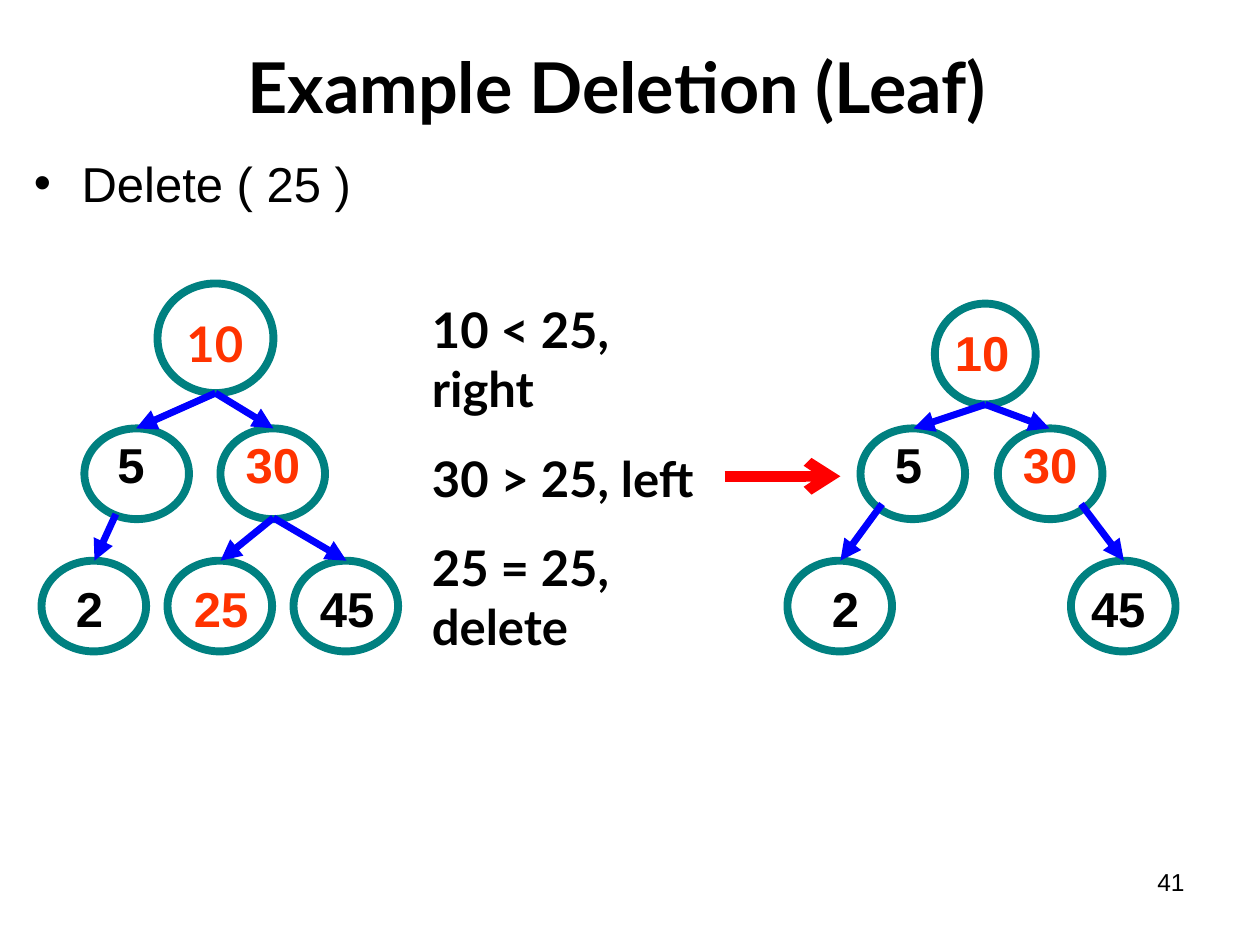
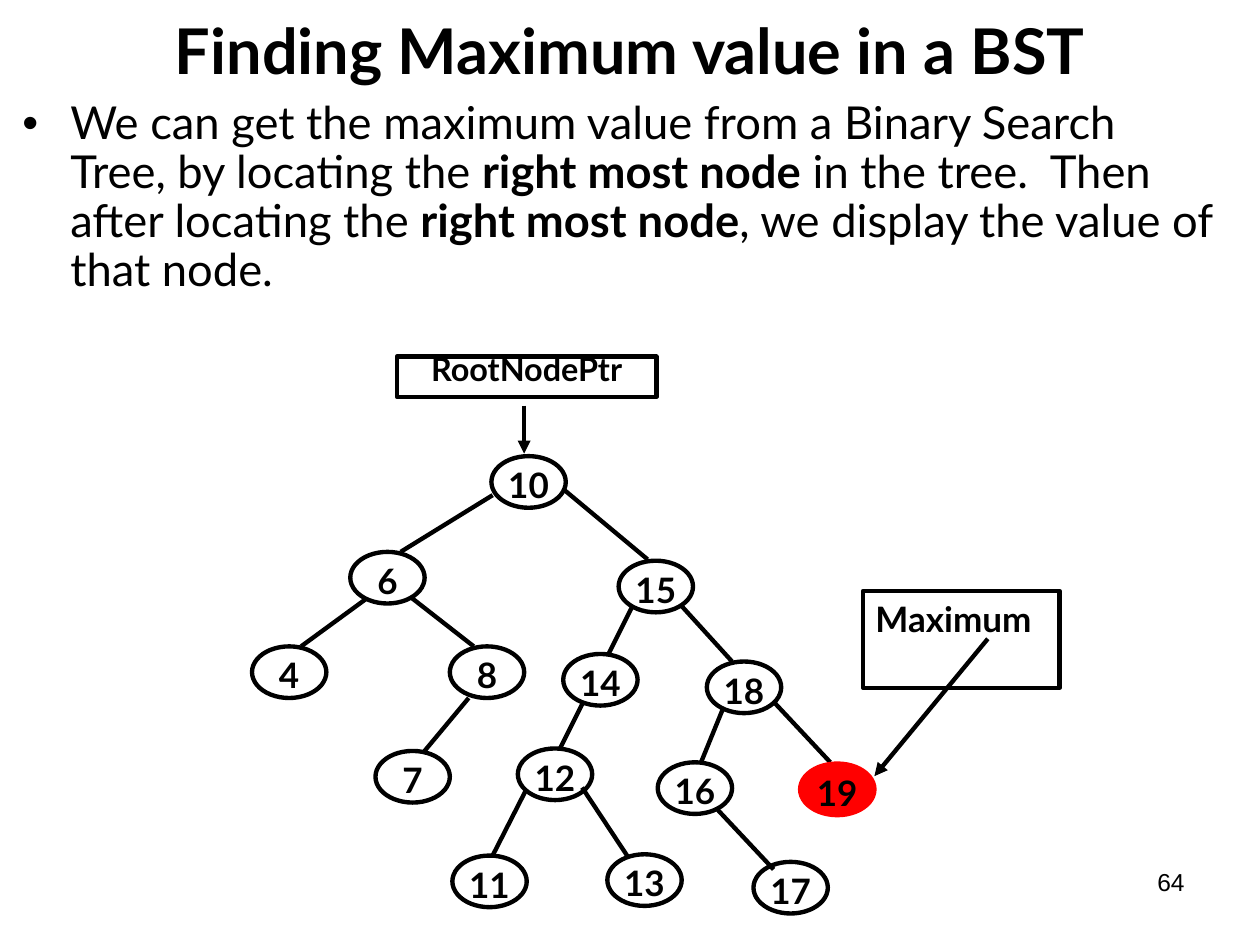
from lxml.etree import SubElement
from pptx import Presentation
from pptx.dml.color import RGBColor
from pptx.enum.shapes import MSO_CONNECTOR, MSO_SHAPE
from pptx.enum.text import MSO_ANCHOR, PP_ALIGN
from pptx.oxml.ns import qn
from pptx.util import Inches, Pt

BLACK = RGBColor(0x00, 0x00, 0x00)
WHITE = RGBColor(0xFF, 0xFF, 0xFF)
RED = RGBColor(0xFF, 0x00, 0x00)
ORANGE = RGBColor(0xFF, 0x33, 0x00)
TEAL = RGBColor(0x00, 0x80, 0x80)
BLUE = RGBColor(0x00, 0x00, 0xFF)

HEADING_FONT = "Lato"
PLAIN_FONT = "Arial"

# Deletion trees: value, circle (left, top, width, height), label (left, top, width), colour, font
TREE_BEFORE = [
    ("10", (1.25, 2.25, 0.92, 0.87), (1.33, 2.44, 0.75), ORANGE, HEADING_FONT),
    ("5", (0.67, 3.4, 0.83, 0.72), (0.83, 3.4, 0.42), BLACK, PLAIN_FONT),
    ("30", (1.75, 3.4, 0.83, 0.72), (1.83, 3.4, 0.67), ORANGE, PLAIN_FONT),
    ("2", (0.33, 4.45, 0.83, 0.72), (0.5, 4.54, 0.42), BLACK, PLAIN_FONT),
    ("25", (1.33, 4.45, 0.83, 0.72), (1.42, 4.54, 0.67), ORANGE, PLAIN_FONT),
    ("45", (2.33, 4.45, 0.83, 0.72), (2.42, 4.54, 0.67), BLACK, PLAIN_FONT),
]
ARROWS_BEFORE = [
    ((1.71, 3.12), (1.08, 3.4)), ((1.71, 3.12), (2.17, 3.4)),
    ((0.92, 4.08), (0.75, 4.45)), ((2.17, 4.11), (1.75, 4.45)),
    ((2.17, 4.11), (2.75, 4.45)),
]
TREE_AFTER = [
    ("10", (7.42, 2.41, 0.8, 0.8), (7.42, 2.51, 0.75), ORANGE, PLAIN_FONT),
    ("5", (6.83, 3.4, 0.83, 0.72), (7, 3.4, 0.42), BLACK, PLAIN_FONT),
    ("30", (7.92, 3.4, 0.83, 0.72), (8, 3.4, 0.67), ORANGE, PLAIN_FONT),
    ("2", (6.25, 4.45, 0.83, 0.72), (6.5, 4.54, 0.42), BLACK, PLAIN_FONT),
    ("45", (8.5, 4.45, 0.83, 0.72), (8.5, 4.54, 0.75), BLACK, PLAIN_FONT),
]
ARROWS_AFTER = [
    ((7.82, 3.21), (7.25, 3.4)), ((7.82, 3.21), (8.33, 3.4)),
    ((7, 4), (6.67, 4.45)), ((8.58, 4), (8.92, 4.45)),
]

# Search tree: left and top of each node, then the branches between them
SEARCH_NODES = {
    "10": (3.9, 3.62), "6": (2.78, 4.38), "15": (4.91, 4.45),
    "4": (2, 5.13), "8": (3.57, 5.13), "14": (4.47, 5.19), "18": (5.61, 5.25),
    "7": (2.98, 5.96), "12": (4.11, 5.94), "16": (5.22, 6.05), "19": (6.35, 6.06),
    "11": (3.59, 6.79), "13": (4.82, 6.78), "17": (5.98, 6.84),
}
SEARCH_BRANCHES = [
    ((3.91, 3.93), (3.18, 4.38)), ((4.48, 3.89), (5.14, 4.44)),
    ((2.91, 4.75), (2.39, 5.13)), ((3.26, 4.74), (3.76, 5.13)),
    ((5.02, 4.81), (4.83, 5.19)), ((5.41, 4.81), (5.81, 5.25)),
    ((3.72, 5.54), (3.37, 5.96)), ((4.63, 5.57), (4.44, 5.95)),
    ((5.74, 5.62), (5.56, 6.06)), ((6.14, 5.57), (6.59, 6.05)),
    ((4.17, 6.28), (3.91, 6.79)), ((4.62, 6.25), (4.99, 6.81)),
    ((5.68, 6.41), (6.14, 6.9)),
]
MAXIMUM = "19"


def add_bullet(paragraph):
    properties = paragraph._p.get_or_add_pPr()
    properties.set("marL", str(Inches(0.38)))
    properties.set("indent", str(-Inches(0.38)))
    SubElement(properties, qn("a:buFont"), typeface="Arial")
    SubElement(properties, qn("a:buChar"), char="•")


def write_text(shape, *paragraphs, size, font=HEADING_FONT, color=BLACK, bold=False,
               align=PP_ALIGN.LEFT, anchor=MSO_ANCHOR.TOP, gap=0, line_spacing=None,
               bullet=False, inset=None):
    """Fill a shape; a paragraph given as a tuple has every second run in bold."""
    frame = shape.text_frame
    frame.word_wrap = True
    frame.vertical_anchor = anchor
    if inset is not None:
        frame.margin_left = frame.margin_right = Inches(inset)
        frame.margin_top = frame.margin_bottom = Inches(inset)
    for index, content in enumerate(paragraphs):
        paragraph = frame.add_paragraph() if index else frame.paragraphs[0]
        paragraph.alignment = align
        if index:
            paragraph.space_before = Pt(gap)
        if line_spacing:
            paragraph.line_spacing = line_spacing
        if bullet:
            add_bullet(paragraph)
        runs = (content,) if isinstance(content, str) else content
        for position, words in enumerate(runs):
            run = paragraph.add_run()
            run.text = words
            run.font.name = font
            run.font.size = Pt(size)
            run.font.bold = bold or position % 2 == 1
            run.font.color.rgb = color


def add_text(slide, box, *paragraphs, **text_format):
    shape = slide.shapes.add_textbox(*map(Inches, box))
    write_text(shape, *paragraphs, **text_format)


def add_outline(slide, kind, box, color, width, fill=None):
    shape = slide.shapes.add_shape(kind, *map(Inches, box))
    shape.shadow.inherit = False
    shape.line.color.rgb = color
    shape.line.width = Pt(width)
    if fill is None:
        shape.fill.background()
    else:
        shape.fill.solid()
        shape.fill.fore_color.rgb = fill
    return shape


def add_line(slide, start, end, color, width, head=None):
    line = slide.shapes.add_connector(MSO_CONNECTOR.STRAIGHT, *map(Inches, start + end))
    line.line.color.rgb = color
    line.line.width = Pt(width)
    if head:
        SubElement(line.line._get_or_add_ln(), qn("a:tailEnd"), type=head)
    SubElement(line._element.spPr, qn("a:effectLst"))


def add_slide(presentation, title, title_box, title_size, number):
    slide = presentation.slides.add_slide(presentation.slide_layouts[6])
    slide.background.fill.solid()
    slide.background.fill.fore_color.rgb = WHITE
    add_text(slide, title_box, title, size=title_size, bold=True,
             align=PP_ALIGN.CENTER, anchor=MSO_ANCHOR.MIDDLE)
    add_text(slide, (7.17, 6.83, 2.33, 0.52), number, size=14, font=PLAIN_FONT,
             align=PP_ALIGN.RIGHT)
    return slide


def add_deletion_tree(slide, nodes, arrows):
    for _, circle, _, _, _ in nodes:
        add_outline(slide, MSO_SHAPE.OVAL, circle, TEAL, 4.5)
    for start, end in arrows:
        add_line(slide, start, end, BLUE, 4, "triangle")
    for value, _, label, color, font in nodes:
        add_text(slide, label + (0.57,), value, size=28, font=font, color=color,
                 bold=True, align=PP_ALIGN.CENTER)


def add_search_tree(slide):
    for start, end in SEARCH_BRANCHES:
        add_line(slide, start, end, BLACK, 2.5)
    for value, corner in SEARCH_NODES.items():
        color, fill = (RED, RED) if value == MAXIMUM else (BLACK, None)
        node = add_outline(slide, MSO_SHAPE.OVAL, corner + (0.59, 0.41), color, 2.5, fill)
        write_text(node, value, size=20, bold=True, align=PP_ALIGN.CENTER, inset=0)


def build_deletion_slide(presentation):
    slide = add_slide(presentation, "Example Deletion (Leaf)", (1.81, 0.33, 6.17, 0.7), 40, "41")
    add_text(slide, (0.17, 1.17, 9.67, 4.42), "Delete ( 25 )", size=28, font=PLAIN_FONT,
             bullet=True)
    add_deletion_tree(slide, TREE_BEFORE, ARROWS_BEFORE)
    add_text(slide, (3.33, 2.33, 2.5, 2.92), "10 < 25, right", "30 > 25, left",
             "25 = 25, delete", size=28, bold=True, gap=17.5)
    add_line(slide, (5.75, 3.78), (6.67, 3.78), RED, 6, "arrow")
    add_deletion_tree(slide, TREE_AFTER, ARROWS_AFTER)


def build_maximum_slide(presentation):
    slide = add_slide(presentation, "Finding Maximum value in a BST", (0.5, 0, 9, 0.78), 36, "64")
    add_text(slide, (0.08, 0.75, 9.67, 1.83),
             ("We can get the maximum value from a Binary Search Tree, by locating the ",
              "right most node", " in the tree.  Then after locating the ",
              "right most node", ", we display the value of that node."),
             size=25.9, line_spacing=0.9, bullet=True)
    root_pointer = add_outline(slide, MSO_SHAPE.RECTANGLE, (3.15, 2.83, 2.06, 0.32), BLACK, 2.5)
    write_text(root_pointer, "RootNodePtr", size=18.5, bold=True, align=PP_ALIGN.CENTER,
               line_spacing=0.6)
    add_line(slide, (4.16, 3.22), (4.16, 3.6), BLACK, 2.5, "triangle")
    add_search_tree(slide)
    add_line(slide, (7.84, 5.07), (6.94, 6.16), BLACK, 2.5, "triangle")
    maximum = add_outline(slide, MSO_SHAPE.RECTANGLE, (6.85, 4.69, 1.56, 0.77), BLACK, 2.5)
    write_text(maximum, "Maximum", size=20, bold=True)


def main():
    presentation = Presentation()
    presentation.slide_width = Inches(10)
    presentation.slide_height = Inches(7.5)
    build_deletion_slide(presentation)
    build_maximum_slide(presentation)
    presentation.save("out.pptx")


if __name__ == "__main__":
    main()
